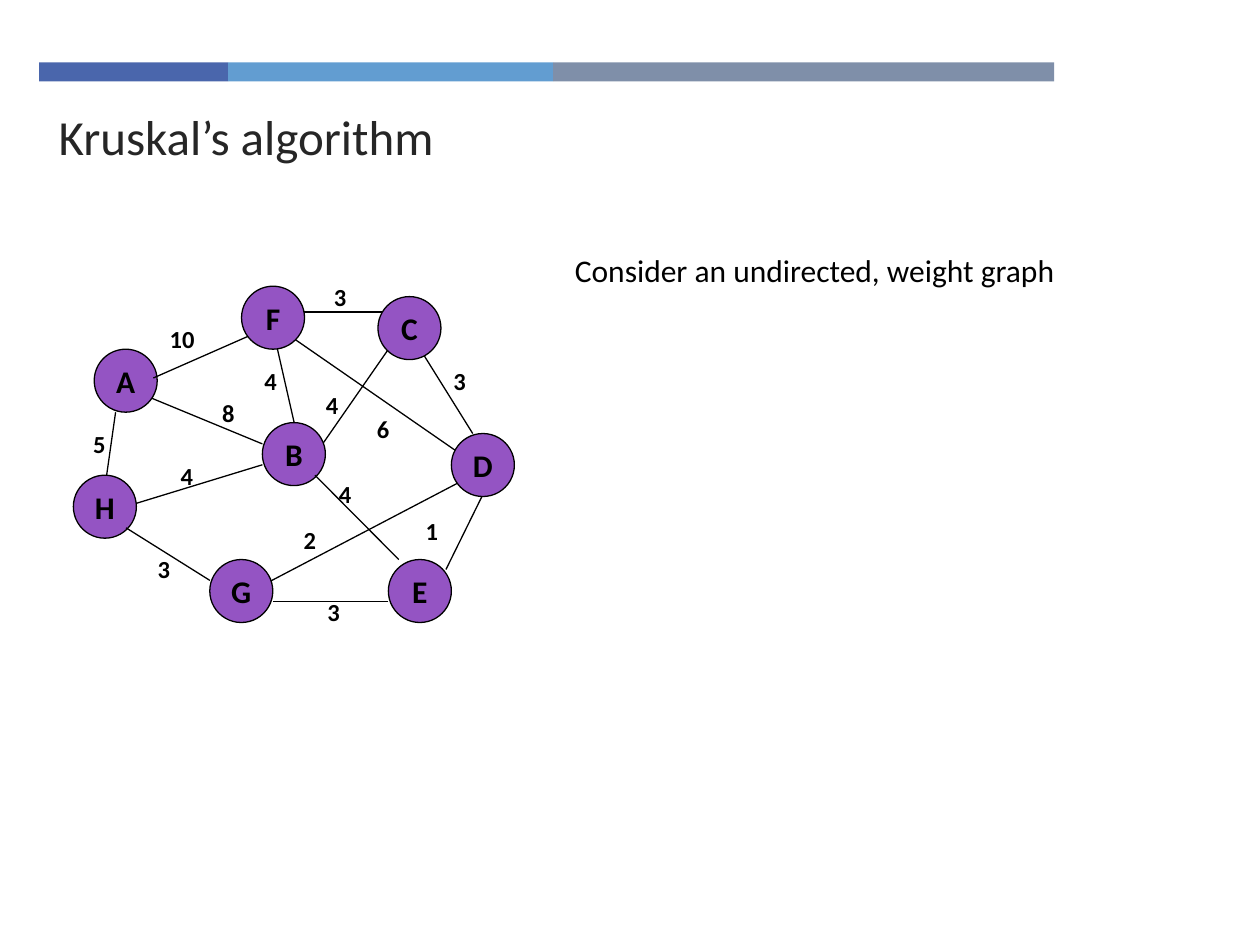
"""Build a slide that shows a weighted graph for Kruskal's algorithm."""
import pptx
import pptx.util
import pptx.dml.color
import pptx.enum.shapes
import pptx.enum.text
import pptx.oxml.ns
import lxml.etree

Cm, Pt = pptx.util.Cm, pptx.util.Pt
RGBColor = pptx.dml.color.RGBColor
SHAPE = pptx.enum.shapes.MSO_SHAPE
ANCHOR = pptx.enum.text.MSO_ANCHOR
ALIGN = pptx.enum.text.PP_ALIGN
AUTO = pptx.enum.text.MSO_AUTO_SIZE

BLACK = RGBColor(0x00, 0x00, 0x00)
TITLE_GREY = RGBColor(0x26, 0x26, 0x26)
PURPLE = RGBColor(0x94, 0x54, 0xC3)
NAVY = RGBColor(0x4A, 0x66, 0xAC)
SKY = RGBColor(0x62, 0x9D, 0xD1)
SLATE = RGBColor(0x7F, 0x8F, 0xA9)

NODE_SIZE = 1.27
BARS = [(3.81, NAVY), (6.55, SKY), (10.1, SLATE)]
NODES = {
    "A": (1.9, 7.04), "H": (1.48, 9.58), "B": (5.29, 8.52), "F": (4.87, 5.77),
    "E": (7.83, 11.28), "D": (9.1, 8.74), "C": (7.62, 5.98), "G": (4.23, 11.28),
}
EDGES_BEHIND = [
    (10.03, 9.37, 8.99, 11.48),
    (5.5, 6.63, 5.93, 8.52),
    (6.35, 9.17, 7.83, 7.04),
    (9.31, 9.17, 5.93, 6.83),
    (2.54, 10.21, 5.29, 9.37),
    (5.08, 11.91, 9.53, 9.58),
    (2.12, 9.79, 2.33, 8.31),
    (2.75, 7.9, 5.29, 8.95),
    (6.05, 6.29, 7.75, 6.29),
    (8.47, 7.04, 9.53, 8.74),
]
EDGES_FRONT = [
    (6.35, 9.58, 8.04, 11.28),
    (7.83, 12.12, 5.5, 12.12),
    (4.23, 11.7, 2.54, 10.64),
    (3.09, 7.62, 5, 6.78),
]
WEIGHTS = [
    ("5", 1.63, 8.53), ("1", 8.33, 10.28), ("3", 6.35, 11.91),
    ("2", 5.87, 10.46), ("4", 6.58, 9.53), ("6", 7.35, 8.23),
    ("3", 8.89, 7.26), ("4", 6.32, 7.74), ("3", 6.48, 5.56),
    ("4", 5.08, 7.26), ("8", 4.23, 7.9), ("4", 3.39, 9.17),
    ("3", 2.93, 11.05), ("10", 3.17, 6.4),
]


def write(tf, text, size=18, color=BLACK, bold=False, align=ALIGN.LEFT,
          anchor=ANCHOR.TOP, wrap=True, auto_size=AUTO.NONE):
    """Write one formatted paragraph into a text frame."""
    tf.word_wrap = wrap
    tf.auto_size = auto_size
    tf.vertical_anchor = anchor
    p = tf.paragraphs[0]
    p.alignment = align
    r = p.add_run()
    r.text = text
    r.font.name = "Calibri"
    r.font.size = Pt(size)
    r.font.bold = bold
    r.font.color.rgb = color


def add_title(s, text):
    """Place and fill the title placeholder."""
    sp = s.shapes.title
    sp.left, sp.top, sp.width, sp.height = Cm(0.93), Cm(2.05), Cm(18.19), Cm(1.37)
    write(sp.text_frame, text, size=28, color=TITLE_GREY, anchor=ANCHOR.MIDDLE)


def add_text(s, text, x, y, w, h, **fmt):
    """Add a text box that grows with its text."""
    sp = s.shapes.add_textbox(Cm(x), Cm(y), Cm(w), Cm(h))
    write(sp.text_frame, text, auto_size=AUTO.SHAPE_TO_FIT_TEXT, **fmt)


def add_filled(s, kind, x, y, w, h, color):
    """Add a flat filled shape without an outline."""
    sp = s.shapes.add_shape(kind, Cm(x), Cm(y), Cm(w), Cm(h))
    sp.shadow.inherit = False
    sp.fill.solid()
    sp.fill.fore_color.rgb = color
    sp.line.fill.background()
    return sp


def add_bars(s):
    """Add the row of coloured bars above the title."""
    x = 0.79
    for w, color in BARS:
        add_filled(s, SHAPE.RECTANGLE, x, 1.26, w, 0.38, color)
        x += w


def add_node(s, letter, x, y):
    """Add a lettered graph node."""
    sp = add_filled(s, SHAPE.OVAL, x, y, NODE_SIZE, NODE_SIZE, PURPLE)
    sp.line.color.rgb = BLACK
    sp.line.width = Pt(0.75)
    write(sp.text_frame, letter, bold=True, align=ALIGN.CENTER,
          anchor=ANCHOR.MIDDLE, wrap=False)


def add_edges(s, edges):
    """Add straight graph edges without shadows."""
    for ends in edges:
        sp = s.shapes.add_connector(
            pptx.enum.shapes.MSO_CONNECTOR.STRAIGHT, *(Cm(v) for v in ends))
        sp.line.color.rgb = BLACK
        sp.line.width = Pt(0.75)
        lxml.etree.SubElement(sp._element.spPr, pptx.oxml.ns.qn("a:effectLst"))


def main():
    """Build and save the slide."""
    prs = pptx.Presentation()
    prs.slide_width, prs.slide_height = Cm(25.4), Cm(19.05)
    s = prs.slides.add_slide(prs.slide_layouts[5])
    add_bars(s)
    add_title(s, "Kruskal’s algorithm")
    add_text(s, "Consider an undirected, weight graph", 11.34, 4.93, 11.3, 1.09)
    add_edges(s, EDGES_BEHIND)
    for letter, (x, y) in NODES.items():
        add_node(s, letter, x, y)
    add_edges(s, EDGES_FRONT)
    for text, x, y in WEIGHTS:
        add_text(s, text, x, y, 0.84 if len(text) == 1 else 1.32, 0.84,
                 size=14, bold=True)
    prs.save("out.pptx")


if __name__ == "__main__":
    main()
